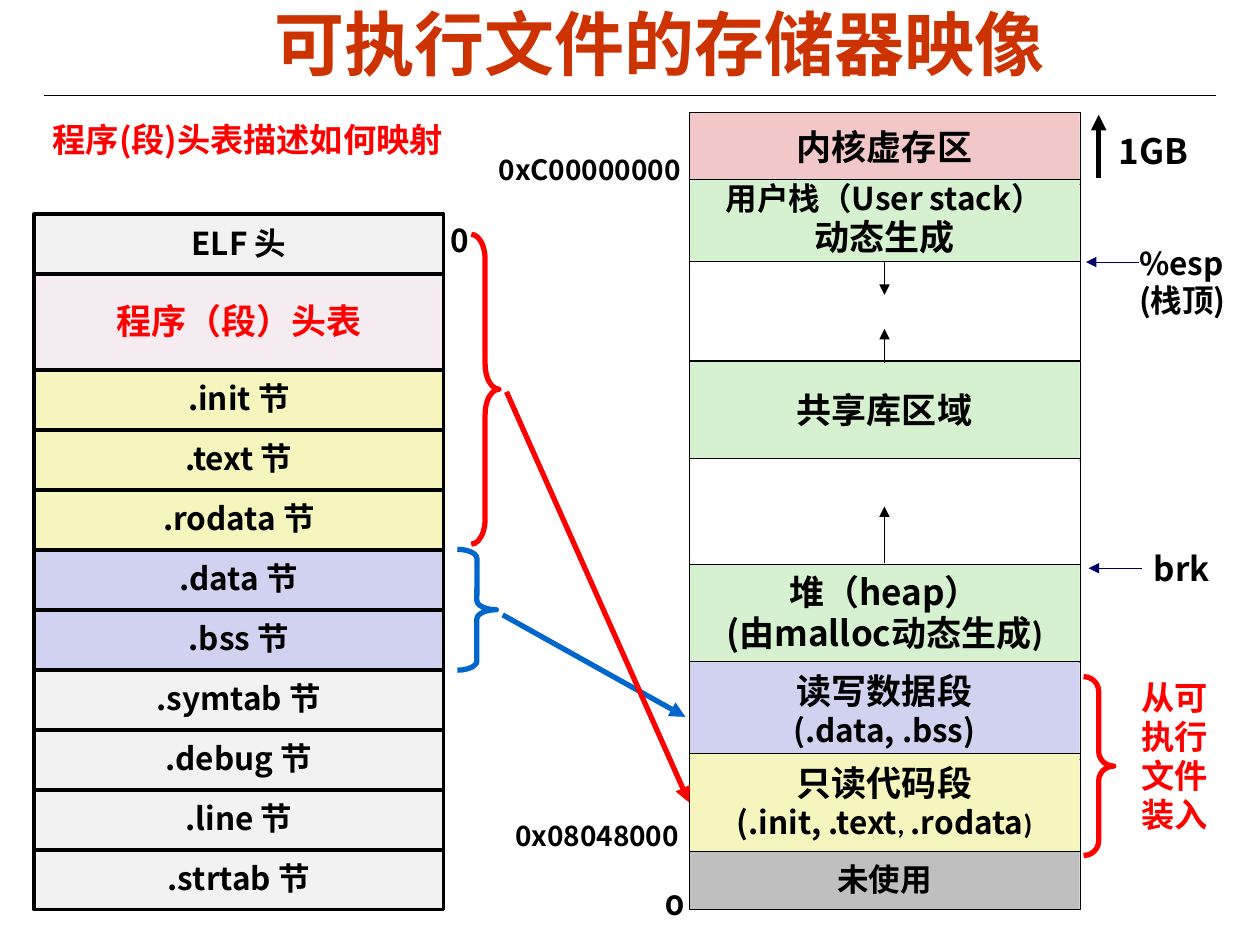
import pptx
import pptx.util
import pptx.dml.color
import pptx.enum.shapes
import pptx.enum.text
import pptx.oxml.ns
from lxml import etree

Inches, Pt = pptx.util.Inches, pptx.util.Pt
SHAPE = pptx.enum.shapes.MSO_SHAPE
ALIGN = pptx.enum.text.PP_ALIGN
ANCHOR = pptx.enum.text.MSO_ANCHOR
qn = pptx.oxml.ns.qn

SANS, LATIN = "Noto Sans CJK SC", "Calibri"
BLACK, WHITE, RED, BLUE, NAVY = "000000", "FFFFFF", "FF0000", "0066CC", "000066"
GREEN, YELLOW, LILAC, GRAY = "D5F1CF", "F6F5BD", "D1D1F0", "F2F2F2"


def rgb(value):
    return pptx.dml.color.RGBColor.from_string(value)


def set_font(font, size, name=SANS, color=BLACK):
    font.size, font.name, font.bold = Pt(size), name, True
    font.color.rgb = rgb(color)
    ea = etree.SubElement(font._element, qn("a:ea"))
    ea.set("typeface", SANS)


def fill_text(tf, lines, color=BLACK, align=ALIGN.LEFT, spacing=0.98):
    """Each line is a list of runs; each run is (text, size[, font name])."""
    for i, runs in enumerate(lines):
        p = tf.paragraphs[0] if i == 0 else tf.add_paragraph()
        p.alignment, p.line_spacing = align, spacing
        _, size, *name = runs[0]
        set_font(p.font, size, *name, color=color)
        for text, *style in runs:
            r = p.add_run()
            r.text = text
            if style != [size, *name]:
                set_font(r.font, *style, color=color)


def add_label(s, x, y, w, h, lines, color=BLACK, align=ALIGN.LEFT,
              spacing=0.98, wrap=True, inset=0.1, anchor=ANCHOR.TOP):
    tf = s.shapes.add_textbox(Inches(x), Inches(y), Inches(w), Inches(h)).text_frame
    tf.word_wrap, tf.vertical_anchor = wrap, anchor
    tf.margin_left = tf.margin_right = Inches(inset)
    fill_text(tf, lines, color, align, spacing)


def add_block(s, x, y, w, h, fill, lines=(), width=0.25, color=BLACK, alpha=None):
    sp = s.shapes.add_shape(SHAPE.RECTANGLE, Inches(x), Inches(y), Inches(w), Inches(h))
    sp.shadow.inherit = False
    sp.fill.solid()
    sp.fill.fore_color.rgb = rgb(fill)
    if alpha:
        clr = sp._element.spPr.find(qn("a:solidFill"))[0]
        etree.SubElement(clr, qn("a:alpha")).set("val", str(alpha * 1000))
    sp.line.color.rgb, sp.line.width = rgb(BLACK), Pt(width)
    tf = sp.text_frame
    tf.word_wrap, tf.vertical_anchor = False, ANCHOR.MIDDLE
    fill_text(tf, lines, color, ALIGN.CENTER)


def add_line(s, x1, y1, x2, y2, color=BLACK, width=0.25, arrow=True):
    c = s.shapes.add_connector(pptx.enum.shapes.MSO_CONNECTOR.STRAIGHT,
                               Inches(x1), Inches(y1), Inches(x2), Inches(y2))
    c.line.color.rgb, c.line.width = rgb(color), Pt(width)
    if arrow:
        ln = c.line._get_or_add_ln()
        etree.SubElement(ln, qn("a:tailEnd")).set("type", "triangle")
    etree.SubElement(c._element.spPr, qn("a:effectLst"))


def add_brace(s, x, y, w, h, color, curve):
    sp = s.shapes.add_shape(SHAPE.RIGHT_BRACE, Inches(x), Inches(y), Inches(w), Inches(h))
    sp.shadow.inherit = False
    sp.fill.background()
    sp.line.color.rgb, sp.line.width = rgb(color), Pt(3)
    sp.adjustments[0], sp.adjustments[1] = curve, 0.5


def add_header(s, x, y, w, h):
    add_line(s, 0.35, y + 0.76, 9.65, y + 0.76, width=0.75, arrow=False)
    add_label(s, x, y, w, h, [[("可执行文件的存储器映像", 40, "Arial")]], "CC3300",
              ALIGN.CENTER, spacing=1, anchor=ANCHOR.MIDDLE)


def add_elf_file(s, x, y, w, h):
    """Sections of the file; the program header table is the one taller row."""
    add_label(s, x + 0.05, y - 0.8, 3.57, 0.42,
              [[("程序(段)头表描述如何映射", 19)]], RED, spacing=1)
    add_label(s, x + 3.21, y + 0.02, 0.35, 0.4, [[("0", 18)]])
    sections = [("ELF 头", GRAY), ("程序（段）头表", "993366"),
                (".init 节", YELLOW), (".text 节", YELLOW), (".rodata 节", YELLOW),
                (".data 节", LILAC), (".bss 节", LILAC), (".symtab 节", GRAY),
                (".debug 节", GRAY), (".line 节", GRAY), (".strtab 节", GRAY)]
    table_h = 0.76
    row_h = (h - table_h) / (len(sections) - 1)
    for i, (name, fill) in enumerate(sections):
        if i == 1:
            add_block(s, x, y, w, table_h, fill, [[(name, 20)]], 2, RED, alpha=9)
            y += table_h
        else:
            add_block(s, x, y, w, row_h, fill, [[(name, 18)]], 2)
            y += row_h


def add_memory_map(s, x, y, w, h):
    """Segments, each as top offset, height, fill and lines of text."""
    segments = [
        (0, 0.57, "F1C7C7", [[("内核虚存区", 20)]]),
        (0.53, 0.65, GREEN, [[("用户栈（User stack）", 18)], [("动态生成", 20, LATIN)]]),
        (1.18, 0.79, WHITE, []),
        (1.98, 0.78, GREEN, [[("共享库区域", 20)]]),
        (2.75, 0.84, WHITE, []),
        (3.59, 0.78, GREEN, [[("堆（heap）", 20)], [("(由malloc动态生成", 20), (")", 20, LATIN)]]),
        (4.36, 0.78, LILAC, [[("读写数据段", 20)], [("(.data, .bss)", 18)]]),
        (5.09, 0.78, YELLOW, [[("只读代码段", 20)],
                              [("(.init, .text", 18), (", ", 16, LATIN),
                               (".rodata", 18), (")", 16, LATIN)]]),
        (h - 0.46, 0.46, "BFBFBF", [[("未使用", 18)]]),
    ]
    for top, height, fill, lines in segments:
        add_block(s, x, y + top, w, height, fill, lines)

    # Directions of growth
    for start, end in [(1.19, 1.45), (1.99, 1.72), (3.58, 3.13)]:
        add_line(s, x + w / 2, y + start, x + w / 2, y + end)

    # Addresses on the left
    add_label(s, x - 1.61, y + 0.29, 1.71, 0.35, [[("0xC00000000", 16)]], spacing=0.94, wrap=False)
    add_label(s, x - 1.48, y + 5.58, 1.56, 0.35, [[("0x08048000", 16)]], spacing=0.94, wrap=False)
    add_label(s, x - 0.29, y + 6.12, 0.35, 0.36, [[("0", 16, "Montserrat")]], wrap=False)

    # Pointers and notes on the right
    right = x + w
    add_line(s, right + 0.15, y + 0.52, right + 0.15, y + 0.02, width=3)
    add_label(s, right + 0.21, y + 0.09, 0.92, 0.43, [[("1GB", 20)]], spacing=1)
    add_line(s, right + 0.47, y + 1.19, right + 0.05, y + 1.19, NAVY)
    add_label(s, right + 0.47, y + 1.01, 0.8, 0.68, [[("%esp", 18)], [("(栈顶)", 18)]], inset=0)
    add_line(s, right + 0.49, y + 3.62, right + 0.07, y + 3.62, NAVY)
    add_label(s, right + 0.49, y + 3.44, 0.64, 0.4, [[("brk", 19)]], spacing=0.94, wrap=False)
    add_brace(s, right + 0.03, y + 4.48, 0.24, 1.42, RED, 0.486)
    add_label(s, right + 0.39, y + 4.45, 0.82, 1.34, [[("从可执行文件装入", 19, LATIN)]], RED)


def add_mappings(s, x, y, w, h):
    """Braces around file sections, with arrows to the segments they load into."""
    add_line(s, x + 0.36, y + 3.02, x + w, y + 3.83, BLUE, 3)
    add_brace(s, x, y + 2.5, 0.31, 0.96, BLUE, 0.234)
    add_line(s, x + 0.39, y + 1.25, x + w + 0.03, y + h, RED, 3)
    add_brace(s, x + 0.11, y, 0.22, 2.46, RED, 0.915)


def main():
    prs = pptx.Presentation()
    prs.slide_width, prs.slide_height = Inches(10), Inches(7.5)
    s = prs.slides.add_slide(prs.slide_layouts[6])
    add_header(s, 0.47, 0, 9.53, 0.68)
    add_memory_map(s, 5.47, 0.89, 3.1, 6.33)
    add_elf_file(s, 0.27, 1.7, 3.25, 5.52)
    add_mappings(s, 3.63, 1.86, 1.81, 4.51)
    prs.save("out.pptx")


if __name__ == "__main__":
    main()
